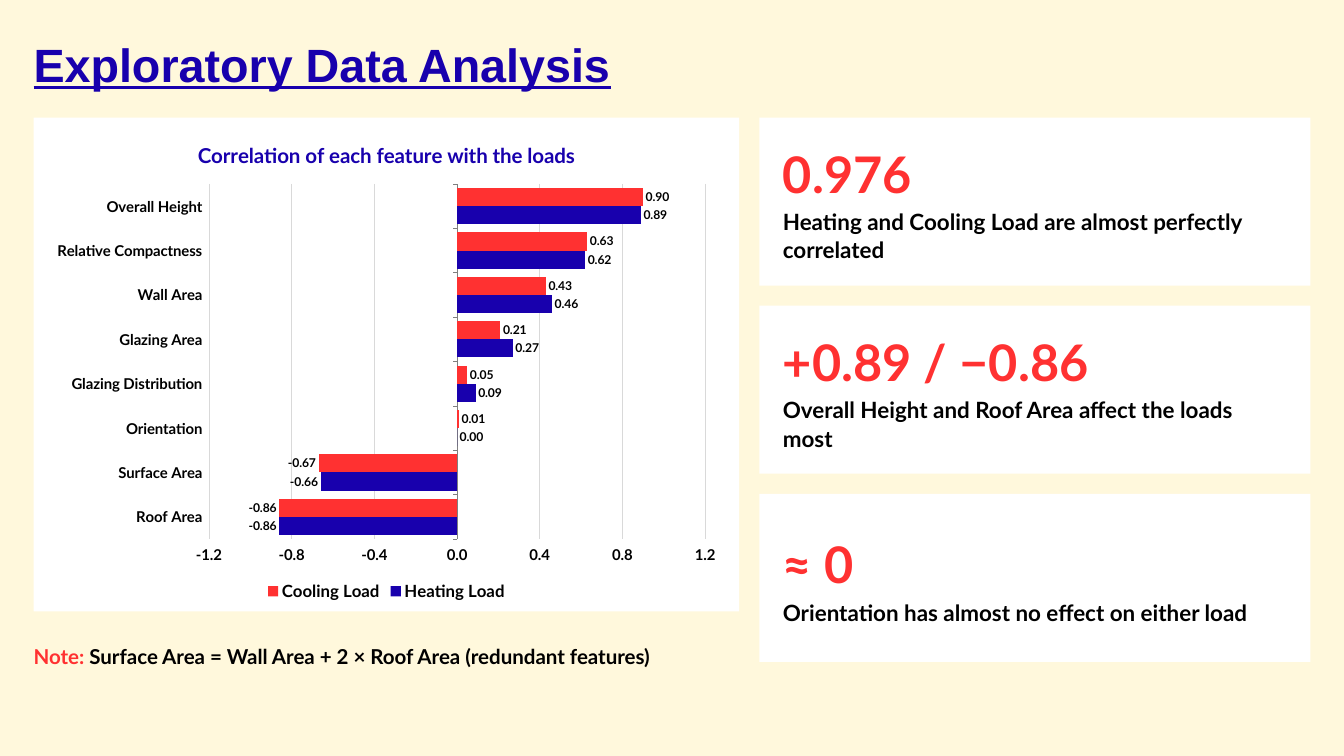
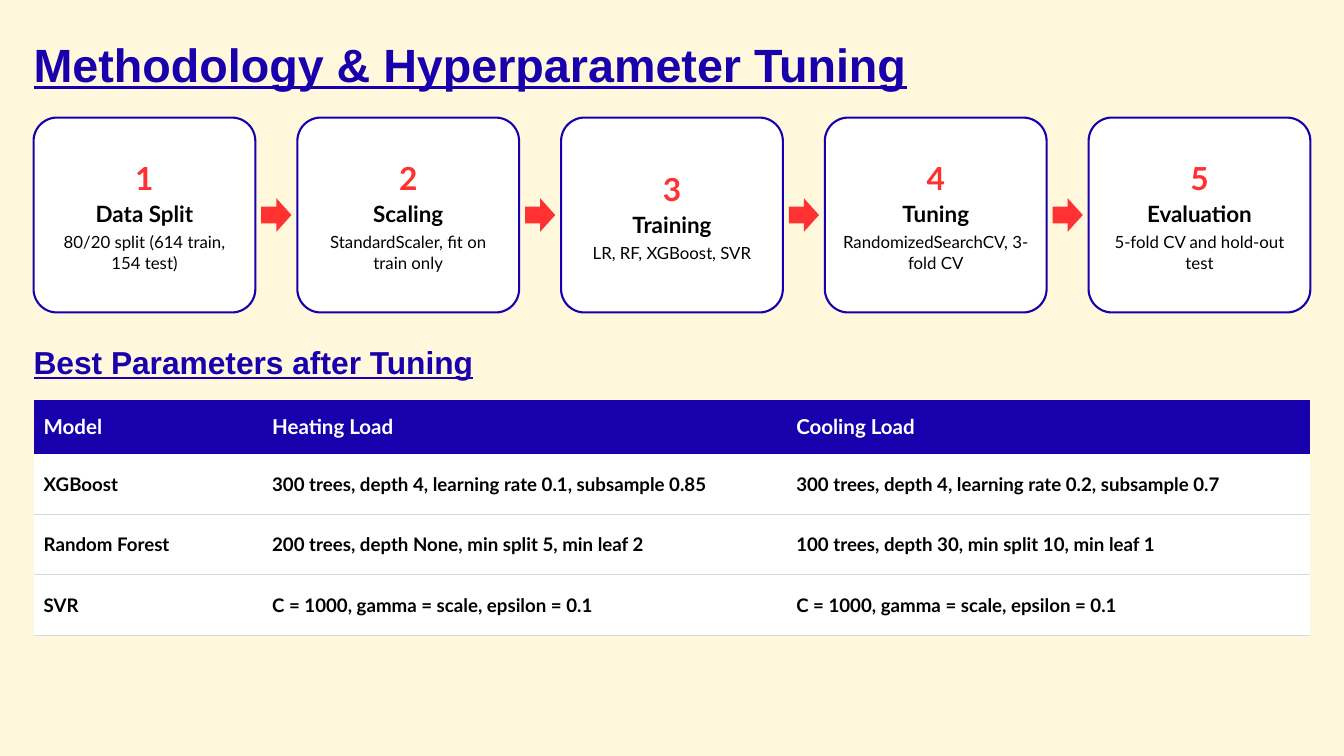
from dataclasses import dataclass

from lxml.etree import SubElement
from pptx import Presentation
from pptx.chart.data import CategoryChartData
from pptx.dml.color import RGBColor
from pptx.enum.chart import (XL_CHART_TYPE, XL_LABEL_POSITION, XL_LEGEND_POSITION,
                             XL_TICK_LABEL_POSITION, XL_TICK_MARK)
from pptx.enum.shapes import MSO_SHAPE
from pptx.enum.text import MSO_ANCHOR, PP_ALIGN
from pptx.oxml.ns import qn
from pptx.util import Inches, Pt


# Theme
@dataclass(frozen=True)
class Theme:
    cream: str = "FFF8DC"
    navy: str = "1800AD"
    red: str = "FF3131"
    white: str = "FFFFFF"
    black: str = "000000"
    grid: str = "D9D9D9"
    axis: str = "7F7F7F"
    head_font: str = "Arial"
    body_font: str = "Lato"
    title: int = 50
    figure: int = 54
    heading: int = 34
    lead: int = 24
    label: int = 22
    cell: int = 20
    small: int = 18
    tick: int = 16
    value: int = 13
    spacing: float = 1.05


THEME = Theme()

# Content
FEATURES = [  # feature, heating load, cooling load
    ("Roof Area", -0.86, -0.86),
    ("Surface Area", -0.66, -0.67),
    ("Orientation", 0, 0.01),
    ("Glazing Distribution", 0.09, 0.05),
    ("Glazing Area", 0.27, 0.21),
    ("Wall Area", 0.46, 0.43),
    ("Relative Compactness", 0.62, 0.63),
    ("Overall Height", 0.89, 0.9),
]
LOADS = [("Heating Load", THEME.navy), ("Cooling Load", THEME.red)]
CHART_TITLE = "Correlation of each feature with the loads"
NOTE = ("Note: ", "Surface Area = Wall Area + 2 × Roof Area (redundant features)")
FINDINGS = [
    ("0.976", "Heating and Cooling Load are almost perfectly correlated"),
    ("+0.89 / −0.86", "Overall Height and Roof Area affect the loads most"),
    ("≈ 0", "Orientation has almost no effect on either load"),
]
STEPS = [
    ("Data Split", "80/20 split (614 train, 154 test)"),
    ("Scaling", "StandardScaler, fit on train only"),
    ("Training", "LR, RF, XGBoost, SVR"),
    ("Tuning", "RandomizedSearchCV, 3-fold CV"),
    ("Evaluation", "5-fold CV and hold-out test"),
]
PARAMETERS = [
    ("Model", "Heating Load", "Cooling Load"),
    ("XGBoost", "300 trees, depth 4, learning rate 0.1, subsample 0.85",
     "300 trees, depth 4, learning rate 0.2, subsample 0.7"),
    ("Random Forest", "200 trees, depth None, min split 5, min leaf 2",
     "100 trees, depth 30, min split 10, min leaf 1"),
    ("SVR", "C = 1000, gamma = scale, epsilon = 0.1",
     "C = 1000, gamma = scale, epsilon = 0.1"),
]

# Layout in inches
WIDTH, HEIGHT = 20, 11.25
MARGIN = 0.5
INNER = WIDTH - 2 * MARGIN
TOP = 1.75
GAP = 0.3


def rgb(code):
    return RGBColor.from_string(code)


def inches(*lengths):
    return [Inches(length) for length in lengths]


def set_font(font, size, color=THEME.black, bold=True, name=THEME.body_font):
    font.size, font.bold, font.name = Pt(size), bold, name
    font.color.rgb = rgb(color)


def write(frame, paragraphs, insets=(0, 0), align=PP_ALIGN.LEFT):
    """Each paragraph is (space after, [(text, font settings), ...])."""
    frame.word_wrap = True
    frame.vertical_anchor = MSO_ANCHOR.MIDDLE
    frame.margin_left = frame.margin_right = Inches(insets[0])
    frame.margin_top = frame.margin_bottom = Inches(insets[1])
    for index, (after, spans) in enumerate(paragraphs):
        para = frame.add_paragraph() if index else frame.paragraphs[0]
        para.alignment = align
        para.line_spacing = THEME.spacing
        para.space_after = Pt(after)
        for text, settings in spans:
            span = para.add_run()
            span.text = text
            set_font(span.font, **settings)


def add_text(page, place, spans):
    box = page.shapes.add_textbox(*inches(*place))
    write(box.text_frame, [(0, spans)])
    return box


def add_heading(page, text, top, height, size):
    style = dict(size=size, color=THEME.navy, name=THEME.head_font)
    box = add_text(page, (MARGIN, top, INNER, height), [(text, style)])
    box.text_frame.paragraphs[0].runs[0].font.underline = True


def add_panel(page, kind, place, fill=THEME.white, line=None):
    panel = page.shapes.add_shape(kind, *inches(*place))
    panel.shadow.inherit = False
    panel.fill.solid()
    panel.fill.fore_color.rgb = rgb(fill)
    if line:
        panel.line.color.rgb = rgb(line)
        panel.line.width = Pt(2.25)
    else:
        panel.line.fill.background()
    return panel


def add_page(deck, title):
    page = deck.slides.add_slide(deck.slide_layouts[6])
    page.background.fill.solid()
    page.background.fill.fore_color.rgb = rgb(THEME.cream)
    add_heading(page, title, 0.3, 1.25, THEME.title)
    return page


def add_correlation_chart(page, place):
    data = CategoryChartData()
    names, *columns = zip(*FEATURES)
    data.categories = names
    for (load, _), values in zip(LOADS, columns):
        data.add_series(load, values)
    chart = page.shapes.add_chart(XL_CHART_TYPE.BAR_CLUSTERED, *inches(*place), data).chart
    set_font(chart.font, THEME.small)

    # Title and legend
    chart.has_title = True
    span = chart.chart_title.text_frame.paragraphs[0].add_run()
    span.text = CHART_TITLE
    set_font(span.font, THEME.label, THEME.navy)
    chart.chart_title.include_in_layout = False
    chart.has_legend = True
    chart.legend.position = XL_LEGEND_POSITION.BOTTOM
    chart.legend.include_in_layout = False
    set_font(chart.legend.font, THEME.small)

    # Axes
    feature_axis, value_axis = chart.category_axis, chart.value_axis
    for axis in (feature_axis, value_axis):
        axis.major_tick_mark = XL_TICK_MARK.OUTSIDE
        set_font(axis.tick_labels.font, THEME.tick)
    feature_axis.tick_label_position = XL_TICK_LABEL_POSITION.LOW
    feature_axis.format.line.color.rgb = rgb(THEME.axis)
    feature_axis.format.line.width = Pt(0.75)
    value_axis.minimum_scale, value_axis.maximum_scale = -1.2, 1.2
    value_axis.major_unit = 0.4
    value_axis.tick_labels.number_format = "0.0"
    value_axis.tick_labels.number_format_is_linked = False
    value_axis.format.line.fill.background()
    value_axis.major_gridlines.format.line.color.rgb = rgb(THEME.grid)
    value_axis.major_gridlines.format.line.width = Pt(0.75)

    # Bars
    plot = chart.plots[0]
    plot.gap_width, plot.overlap = 45, 0
    plot.vary_by_categories = False
    for series, (_, color) in zip(plot.series, LOADS):
        series.invert_if_negative = False
        series.format.fill.solid()
        series.format.fill.fore_color.rgb = rgb(color)
        labels = series.data_labels
        labels.show_value = True
        labels.position = XL_LABEL_POSITION.OUTSIDE_END
        labels.number_format = "0.00"
        labels.number_format_is_linked = False
        set_font(labels.font, THEME.value)


def add_findings(page, left, width):
    height = 2.5
    for row, (figure, meaning) in enumerate(FINDINGS):
        top = TOP + row * (height + GAP)
        card = add_panel(page, MSO_SHAPE.RECTANGLE, (left, top, width, height))
        write(card.text_frame, [
            (4, [(figure, dict(size=THEME.figure, color=THEME.red))]),
            (0, [(meaning, dict(size=THEME.lead))]),
        ], insets=(0.35, 0.2))


def add_steps(page):
    width, height = 3.3, 2.9
    arrow_width, arrow_height = 0.45, 0.5
    pitch = (INNER - width) / (len(STEPS) - 1)
    for column, (name, detail) in enumerate(STEPS):
        left = MARGIN + column * pitch
        card = add_panel(page, MSO_SHAPE.ROUNDED_RECTANGLE,
                         (left, TOP, width, height), line=THEME.navy)
        card.adjustments[0] = 0.12
        write(card.text_frame, [
            (2, [(str(column + 1), dict(size=THEME.heading, color=THEME.red))]),
            (4, [(name, dict(size=THEME.lead))]),
            (0, [(detail, dict(size=THEME.small, bold=False))]),
        ], insets=(0.12, 0.12), align=PP_ALIGN.CENTER)
        if column < len(STEPS) - 1:
            arrow_left = left + (width + pitch - arrow_width) / 2
            arrow_top = TOP + (height - arrow_height) / 2
            add_panel(page, MSO_SHAPE.RIGHT_ARROW,
                      (arrow_left, arrow_top, arrow_width, arrow_height), THEME.red)


def add_bottom_border(cell, color):
    border = SubElement(cell._tc.get_or_add_tcPr(), qn("a:lnB"), w=str(Pt(1)))
    SubElement(SubElement(border, qn("a:solidFill")), qn("a:srgbClr"), val=color)


def add_parameter_table(page):
    widths, heights = (3.4, 7.8, 7.8), (0.8, 0.9, 0.9, 0.9)
    place = inches(MARGIN, 5.95, INNER, sum(heights))
    table = page.shapes.add_table(len(heights), len(widths), *place).table
    table.horz_banding = False
    # Plain table style without a grid
    style = table._tbl.tblPr.find(qn("a:tableStyleId"))
    style.text = "{2D5ABB26-0587-4C30-8999-92F81FD0307C}"
    for column, width in zip(table.columns, widths):
        column.width = Inches(width)
    for row, height in zip(table.rows, heights):
        row.height = Inches(height)
    for row, texts in enumerate(PARAMETERS):
        if row == 0:
            fill, border, size, color = THEME.navy, THEME.navy, THEME.label, THEME.white
        else:
            fill, border, size, color = THEME.white, THEME.grid, THEME.cell, THEME.black
        for column, text in enumerate(texts):
            cell = table.cell(row, column)
            cell.vertical_anchor = MSO_ANCHOR.MIDDLE
            cell.margin_left, cell.margin_right = inches(0.15, 0.1)
            cell.margin_top, cell.margin_bottom = inches(0.04, 0.04)
            add_bottom_border(cell, border)
            cell.fill.solid()
            cell.fill.fore_color.rgb = rgb(fill)
            span = cell.text_frame.paragraphs[0].add_run()
            span.text = text
            set_font(span.font, size, color)


def build_analysis(deck):
    page = add_page(deck, "Exploratory Data Analysis")
    width, height = 10.5, 7.35
    add_panel(page, MSO_SHAPE.RECTANGLE, (MARGIN, TOP, width, height))
    add_correlation_chart(page, (MARGIN + 0.15, TOP + 0.1, width - 0.3, height - 0.2))
    add_text(page, (MARGIN, TOP + height + 0.25, width, 0.8), [
        (NOTE[0], dict(size=THEME.label, color=THEME.red)),
        (NOTE[1], dict(size=THEME.label)),
    ])
    add_findings(page, MARGIN + width + GAP, INNER - width - GAP)


def build_methodology(deck):
    page = add_page(deck, "Methodology & Hyperparameter Tuning")
    add_steps(page)
    add_heading(page, "Best Parameters after Tuning", 5, 0.75, THEME.heading)
    add_parameter_table(page)


def main():
    deck = Presentation()
    deck.slide_width, deck.slide_height = inches(WIDTH, HEIGHT)
    build_analysis(deck)
    build_methodology(deck)
    deck.save("out.pptx")


if __name__ == "__main__":
    main()
